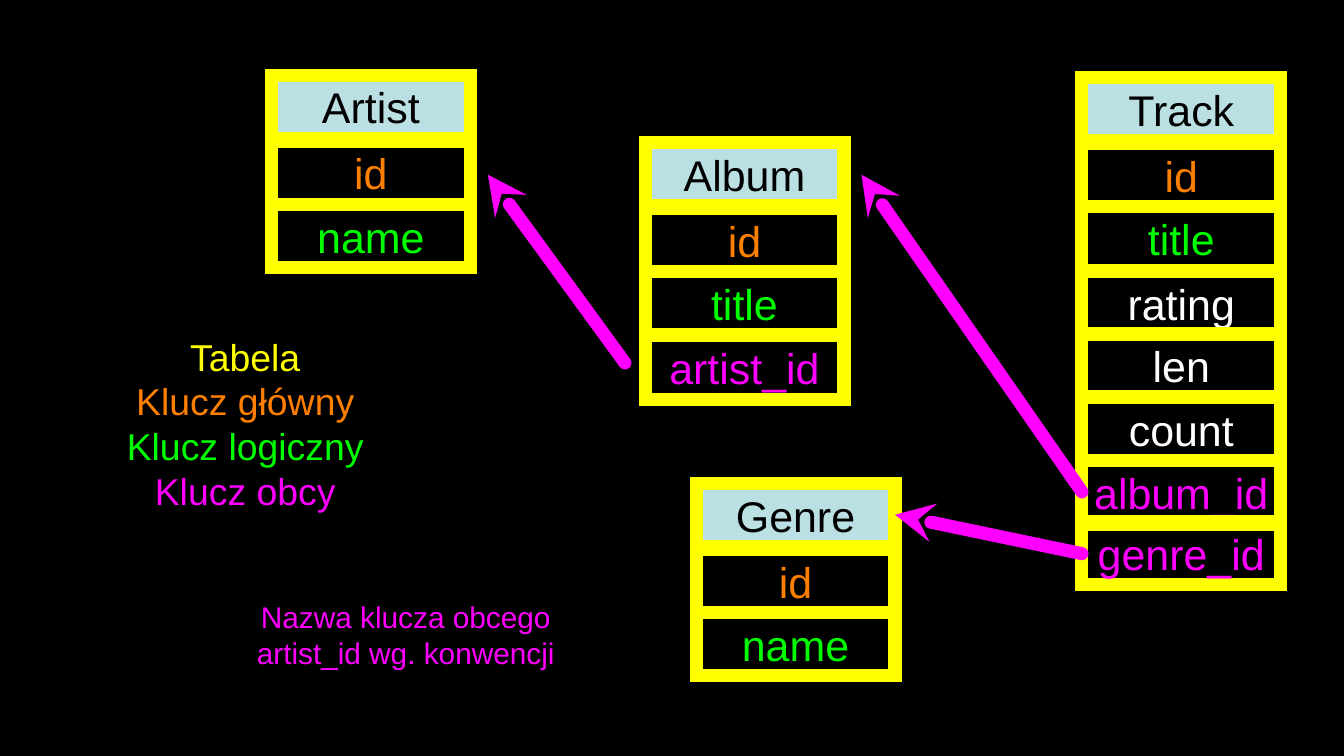
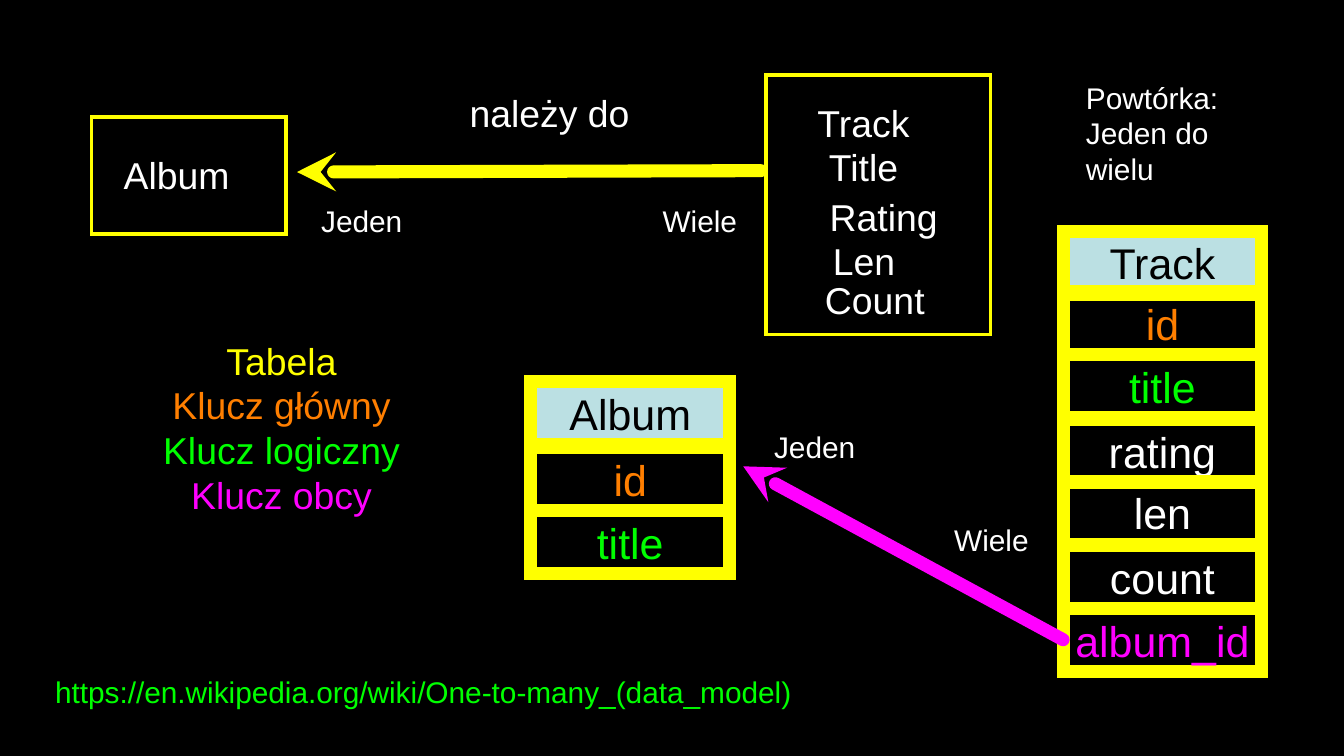
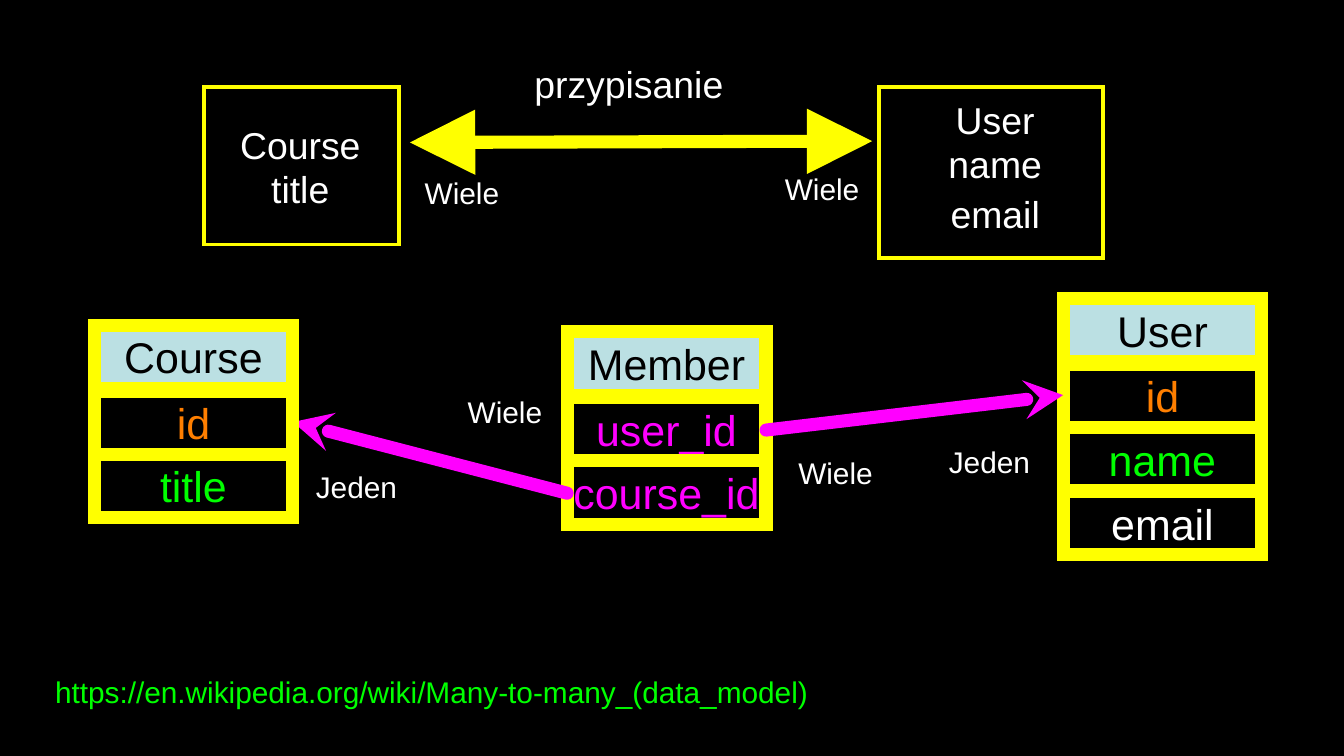
from lxml import etree
from pptx import Presentation
from pptx.dml.color import RGBColor
from pptx.enum.shapes import MSO_CONNECTOR, MSO_SHAPE
from pptx.enum.text import MSO_ANCHOR, PP_ALIGN
from pptx.oxml.ns import qn
from pptx.util import Inches, Pt

RECT = MSO_SHAPE.RECTANGLE
STRAIGHT = MSO_CONNECTOR.STRAIGHT
TOP, MIDDLE = MSO_ANCHOR.TOP, MSO_ANCHOR.MIDDLE
LEFT, CENTER = PP_ALIGN.LEFT, PP_ALIGN.CENTER

BLACK = RGBColor(0x00, 0x00, 0x00)
WHITE = RGBColor(0xFF, 0xFF, 0xFF)
YELLOW = RGBColor(0xFF, 0xFF, 0x00)
ORANGE = RGBColor(0xFF, 0x7F, 0x00)
GREEN = RGBColor(0x00, 0xFF, 0x00)
MAGENTA = RGBColor(0xFF, 0x00, 0xFF)
PALE_BLUE = RGBColor(0xBB, 0xE0, 0xE3)

FONT = "Arial"
SLIDE_WIDTH = Inches(10)
SLIDE_HEIGHT = SLIDE_WIDTH * 9 // 16
ROW_WIDTH, ROW_HEIGHT, HEAD_GAP = 1.48, 0.47, 0.49
FIELD_OFFSETS = (0, 0.47, 0.95, 1.41, 1.89, 2.36, 2.81)
LEGEND = (("Tabela", YELLOW), ("Klucz główny", ORANGE),
          ("Klucz logiczny", GREEN), ("Klucz obcy", MAGENTA))


def write(shape, lines, size, align=CENTER, anchor=MIDDLE, insets=(0, 0)):
    """Write (text, colour) pairs as the paragraphs of a shape."""
    tf = shape.text_frame
    across, down = (Inches(inset) for inset in insets)
    frame = dict(word_wrap=True, vertical_anchor=anchor, margin_left=across,
                 margin_right=across, margin_top=down, margin_bottom=down)
    for name, value in frame.items():
        setattr(tf, name, value)
    for i, (text, color) in enumerate(lines):
        p = tf.add_paragraph() if i else tf.paragraphs[0]
        p.alignment = align
        r = p.add_run()
        r.text = text
        for name, value in dict(name=FONT, size=Pt(size)).items():
            setattr(r.font, name, value)
        r.font.color.rgb = color


def add_text(s, box, lines, size=20, **layout):
    """Add a text box at (left, top, width, height)."""
    write(s.shapes.add_textbox(*map(Inches, box)), lines, size, **layout)


def add_label(s, left, top, *texts, width=0.78, height=0.32, color=WHITE):
    """Add a small left-aligned label."""
    add_text(s, (left, top, width, height), [(text, color) for text in texts], 16,
             align=LEFT, anchor=TOP, insets=(0.06, 0.03))


def add_link(s, address):
    """Add the web address at the foot of a slide."""
    add_label(s, 0.35, 4.98, address, width=5.92, color=GREEN)


def add_box(s, box, line_width, fill=None):
    """Add a yellow-edged rectangle with square corners."""
    shape = s.shapes.add_shape(RECT, *map(Inches, box))
    shape.shadow.inherit = False
    if fill is None:
        shape.fill.background()
    else:
        shape.fill.solid()
        shape.fill.fore_color.rgb = fill
    shape.line.color.rgb = YELLOW
    shape.line.width = Pt(line_width)
    etree.SubElement(shape.line._get_or_add_ln(), qn("a:miter"), lim="800000")
    return shape


def field_color(field):
    """Return the colour for the kind of key a field is."""
    if field == "id":
        return ORANGE
    if field.endswith("_id"):
        return MAGENTA
    return GREEN if field in ("name", "title") else WHITE


def add_db_table(s, left, top, name, fields, head_gap=HEAD_GAP):
    """Stack a table's name and its fields as bordered rows."""
    rows = [(name, BLACK, PALE_BLUE, 0)]
    rows += [(field, field_color(field), None, head_gap + offset)
             for field, offset in zip(fields, FIELD_OFFSETS)]
    for text, color, fill, offset in rows:
        row = add_box(s, (left, top + offset, ROW_WIDTH, ROW_HEIGHT), 7, fill)
        write(row, [(text, color)], 23)


def add_entity(s, box, entries):
    """Add an outlined entity with text blocks placed inside it."""
    add_box(s, box, 2)
    for dx, dy, width, height, *texts in entries:
        add_text(s, (box[0] + dx, box[1] + dy, width, height),
                 [(text, WHITE) for text in texts])


def add_arrow(s, start, end, color=MAGENTA, head="stealth", size="med", both=False):
    """Draw a thick arrow pointing at its start, or at both ends."""
    line = s.shapes.add_connector(STRAIGHT, *map(Inches, start + end))
    line.line.color.rgb = color
    line.line.width = Pt(7)
    ln = line.line._get_or_add_ln()
    ln.set("cap", "rnd")
    etree.SubElement(ln, qn("a:round"))
    for tag in ("a:headEnd", "a:tailEnd")[:2 if both else 1]:
        etree.SubElement(ln, qn(tag), type=head, w=size, len=size)
    etree.SubElement(line._element.spPr, qn("a:effectLst"))


def build_keys(s):
    """Build the slide of four tables linked by foreign keys."""
    add_db_table(s, 2.02, 0.56, "Artist", ("id", "name"))
    add_db_table(s, 4.8, 1.06, "Album", ("id", "title", "artist_id"))
    add_db_table(s, 5.18, 3.6, "Genre", ("id", "name"))
    add_db_table(s, 8.05, 0.58, "Track", ("id", "title", "rating", "len", "count",
                                          "album_id", "genre_id"))
    add_arrow(s, (6.41, 1.3), (8.05, 3.66))
    add_arrow(s, (6.66, 3.83), (8.05, 4.12))
    add_arrow(s, (3.63, 1.3), (4.65, 2.7))
    add_text(s, (0.73, 2.48, 2.19, 1.34), LEGEND)
    add_text(s, (1.65, 4.44, 2.74, 0.56),
             [("Nazwa klucza obcego artist_id wg. konwencji", MAGENTA)], 16)


def build_one_to_many(s):
    """Build the one-to-many slide."""
    add_entity(s, (0.68, 0.87, 1.45, 0.87), [(0.15, 0.24, 0.97, 0.38, "Album")])
    add_entity(s, (5.7, 0.56, 1.67, 1.93), [
        (0.3, 0.16, 0.85, 0.38, "Track"),
        (0.35, 0.49, 0.75, 0.38, "Title"),
        (0.38, 0.86, 0.99, 0.38, "Rating"),
        (0.41, 1.19, 0.64, 0.38, "Len"),
        (0.41, 1.48, 0.8, 0.38, "Count")])
    add_arrow(s, (2.21, 1.28), (5.66, 1.27), YELLOW)
    add_text(s, (3.31, 0.65, 1.56, 0.38), [("należy do", WHITE)])
    add_db_table(s, 3.95, 2.84, "Album", ("id", "title"))
    add_db_table(s, 7.91, 1.72, "Track", ("id", "title", "rating", "len", "count",
                                          "album_id"), head_gap=0.45)
    add_arrow(s, (5.53, 3.47), (7.91, 4.76))
    add_text(s, (1.12, 2.51, 1.95, 1.34), LEGEND)
    for left, top, text in ((2.33, 1.48, "Jeden"), (4.87, 1.48, "Wiele"),
                            (5.7, 3.16, "Jeden"), (7.04, 3.85, "Wiele")):
        add_label(s, left, top, text)
    add_label(s, 8.02, 0.56, "Powtórka:", "Jeden do wielu", width=1.38, height=0.59)
    add_link(s, "https://en.wikipedia.org/wiki/One-to-many_(data_model)")


def build_many_to_many(s):
    """Build the many-to-many slide."""
    add_entity(s, (1.52, 0.65, 1.45, 1.17), [(0.23, 0.24, 0.97, 0.7, "Course", "title")])
    add_entity(s, (6.54, 0.65, 1.67, 1.27), [
        (0.44, 0.05, 0.85, 0.38, "User"),
        (0.49, 0.38, 0.75, 0.38, "name"),
        (0.37, 0.75, 0.99, 0.38, "email")])
    add_arrow(s, (3.05, 1.06), (6.49, 1.05), YELLOW, "triangle", "lg", both=True)
    add_text(s, (3.9, 0.43, 1.56, 0.38), [("przypisanie", WHITE)])
    add_db_table(s, 4.22, 2.47, "Member", ("user_id", "course_id"))
    add_db_table(s, 7.91, 2.22, "User", ("id", "name", "email"))
    add_arrow(s, (2.18, 3.14), (4.22, 3.67))
    add_db_table(s, 0.7, 2.42, "Course", ("id", "title"))
    add_arrow(s, (7.91, 2.94), (5.7, 3.2))
    for left, top, text in ((3.1, 1.27, "Wiele"), (5.78, 1.24, "Wiele"),
                            (2.29, 3.46, "Jeden"), (3.42, 2.9, "Wiele"),
                            (5.88, 3.35, "Wiele"), (7, 3.27, "Jeden")):
        add_label(s, left, top, text)
    add_link(s, "https://en.wikipedia.org/wiki/Many-to-many_(data_model)")


def main():
    """Build and save the presentation."""
    prs = Presentation()
    prs.slide_width, prs.slide_height = SLIDE_WIDTH, SLIDE_HEIGHT
    background = prs.slide_master.background.fill
    background.solid()
    background.fore_color.rgb = BLACK
    blank = prs.slide_layouts.get_by_name("Blank")
    for build in (build_keys, build_one_to_many, build_many_to_many):
        build(prs.slides.add_slide(blank))
    prs.save("out.pptx")


if __name__ == "__main__":
    main()
